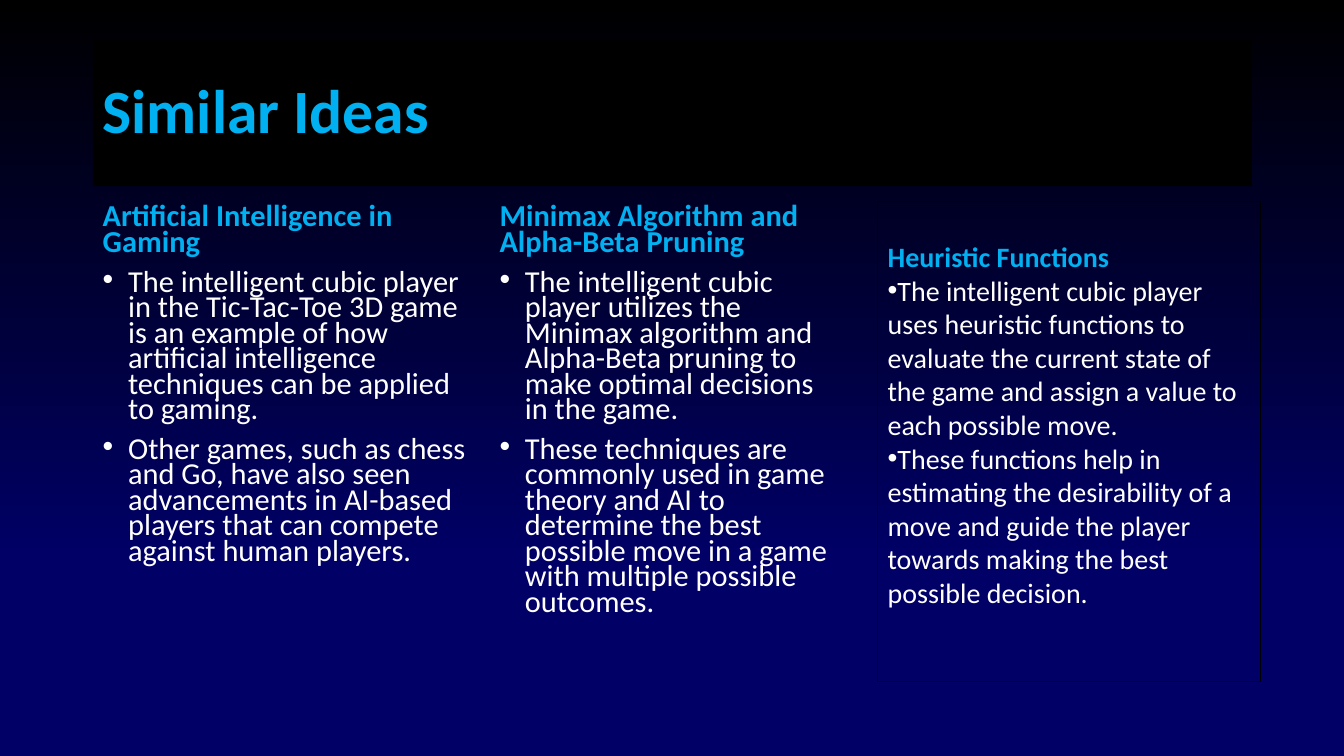
"""Build the Similar Ideas slide: a title band above three columns of text."""
from dataclasses import dataclass
from typing import Optional

from lxml.etree import SubElement
from pptx import Presentation
from pptx.dml.color import RGBColor
from pptx.enum.shapes import MSO_SHAPE as Preset
from pptx.enum.text import MSO_ANCHOR as Anchor, PP_ALIGN as Align
from pptx.oxml.ns import qn
from pptx.slide import Slide
from pptx.text.text import TextFrame
from pptx.util import Cm, Pt

BLACK = RGBColor(0x00, 0x00, 0x00)
NAVY = RGBColor(0x00, 0x00, 0x66)
SKY = RGBColor(0x00, 0xB0, 0xF0)
WHITE = RGBColor(0xFF, 0xFF, 0xFF)
FONT = "Calibri"
COLUMN_TOP, COLUMN_HEIGHT = 5.08, 12.09


@dataclass(frozen=True)
class Column:
    left: float
    width: float
    heading: str
    points: tuple[str, ...]
    size: float = 21.7
    indent: float = 0.64
    line_spacing: Optional[float] = 0.7
    space_before: float = 10
    outlined: bool = False


COLUMNS = (
    Column(2.34, 9.65, "Artificial Intelligence in Gaming", (
        "The intelligent cubic player in the Tic-Tac-Toe 3D game is an example of how "
        "artificial intelligence techniques can be applied to gaming.",
        "Other games, such as chess and Go, have also seen advancements in AI-based "
        "players that can compete against human players.")),
    Column(12.34, 8.97, "Minimax Algorithm and Alpha-Beta Pruning", (
        "The intelligent cubic player utilizes the Minimax algorithm and Alpha-Beta "
        "pruning to make optimal decisions in the game.",
        "These techniques are commonly used in game theory and AI to determine the best "
        "possible move in a game with multiple possible outcomes.")),
    Column(22.12, 9.65, "Heuristic Functions", (
        "The intelligent cubic player uses heuristic functions to evaluate the current "
        "state of the game and assign a value to each possible move.",
        "These functions help in estimating the desirability of a move and guide the "
        "player towards making the best possible decision."),
        size=20, indent=0, line_spacing=None, space_before=0, outlined=True),
)


def add_text(frame: TextFrame, text: str, *, size: float, color: RGBColor = WHITE,
             bold: bool = False, bullet: bool = False, indent: float = 0,
             line_spacing: Optional[float] = None, space_before: float = 0) -> None:
    """Write one formatted paragraph, using the first one while it is empty."""
    first = not frame.text
    paragraph = frame.paragraphs[0] if first else frame.add_paragraph()
    if bullet:
        properties = paragraph._p.get_or_add_pPr()
        properties.set("marL", str(Cm(indent)))
        properties.set("indent", str(-Cm(indent)))
        SubElement(properties, qn("a:buFont"), typeface="Arial")
        SubElement(properties, qn("a:buChar"), char="•")
    paragraph.alignment = Align.LEFT
    paragraph.line_spacing = line_spacing
    paragraph.space_before = Pt(0 if first else space_before)
    run = paragraph.add_run()
    run.text = text
    run.font.name = FONT
    run.font.size = Pt(size)
    run.font.bold = bold
    run.font.color.rgb = color


def add_panel(slide: Slide, left: float, top: float, width: float, height: float, *,
              fill: Optional[RGBColor] = None, line: Optional[RGBColor] = None) -> TextFrame:
    """Add a rectangle with vertically centred text and return its text frame."""
    panel = slide.shapes.add_shape(Preset.RECTANGLE, Cm(left), Cm(top), Cm(width), Cm(height))
    panel.shadow.inherit = False
    if fill is None:
        panel.fill.background()
    else:
        panel.fill.solid()
        panel.fill.fore_color.rgb = fill
    if line is None:
        panel.line.fill.background()
    else:
        panel.line.color.rgb = line
        panel.line.width = Pt(1)
    panel.text_frame.vertical_anchor = Anchor.MIDDLE
    return panel.text_frame


def add_column(slide: Slide, column: Column) -> None:
    """Draw a column heading and its bullet points."""
    area = (column.left, COLUMN_TOP, column.width, COLUMN_HEIGHT)
    if column.outlined:
        frame = add_panel(slide, *area, line=BLACK)
        frame.margin_bottom = Cm(0.99)
    else:
        frame = slide.shapes.add_textbox(*map(Cm, area)).text_frame
    frame.word_wrap = True
    spacing = {"line_spacing": column.line_spacing, "space_before": column.space_before}
    add_text(frame, column.heading, size=column.size, color=SKY, bold=True, **spacing)
    for point in column.points:
        add_text(frame, point, size=column.size, bullet=True, indent=column.indent, **spacing)


def paint_background(slide: Slide) -> None:
    """Fade the background from black at the top to navy."""
    fill = slide.background.fill
    fill.gradient()
    fill.gradient_angle = 270
    for stop, position, color in zip(fill.gradient_stops, (0, 0.74), (BLACK, NAVY)):
        stop.position = position
        stop.color.rgb = color


def main() -> None:
    """Create the presentation and save it."""
    deck = Presentation()
    deck.slide_width, deck.slide_height = Cm(33.87), Cm(19.05)
    slide = deck.slides.add_slide(deck.slide_layouts[6])
    paint_background(slide)
    title = add_panel(slide, 2.34, 1.01, 29.21, 3.68, fill=BLACK)
    add_text(title, "Similar Ideas", size=44, color=SKY, bold=True, line_spacing=0.9)
    for column in COLUMNS:
        add_column(slide, column)
    deck.save("out.pptx")


if __name__ == "__main__":
    main()
